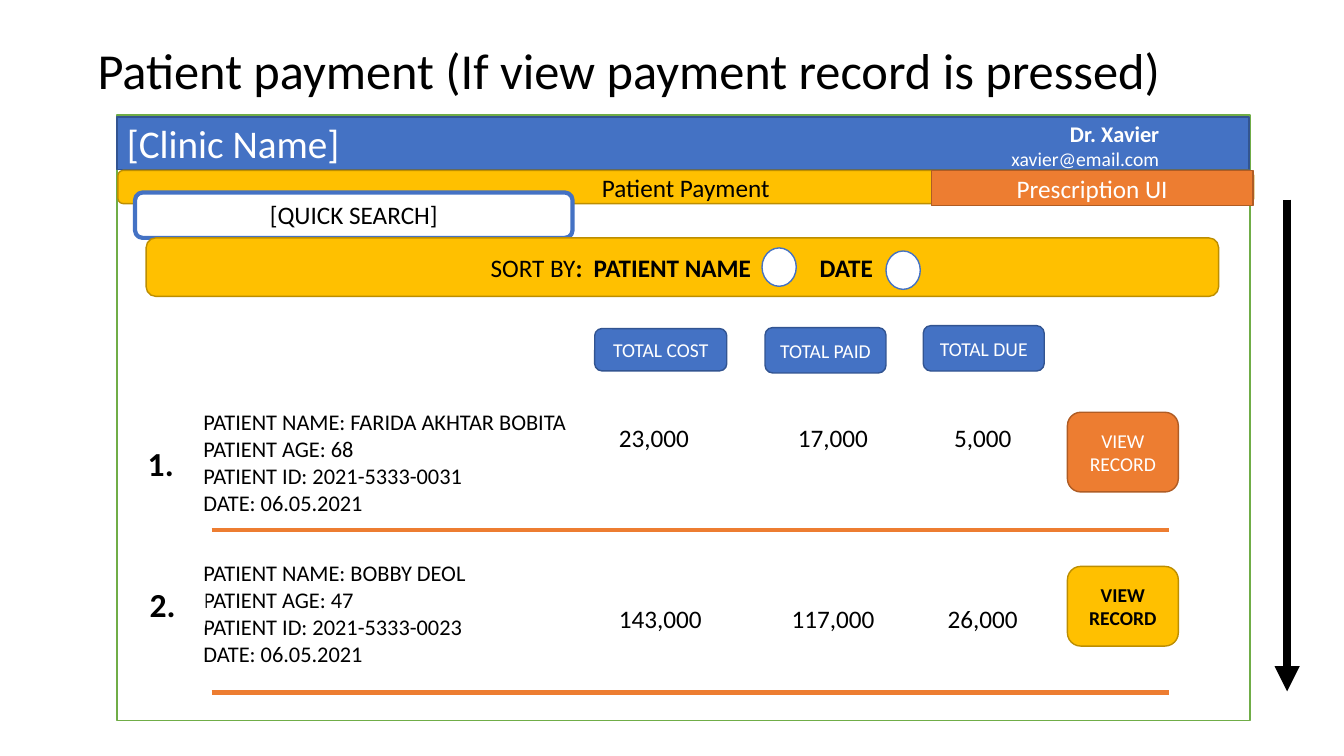
from dataclasses import dataclass
from typing import Optional

import lxml.etree
import pptx
import pptx.dml.color
import pptx.enum.shapes
import pptx.enum.text
import pptx.oxml.ns
import pptx.shapes.autoshape
import pptx.shapes.connector
import pptx.slide
import pptx.util

Pt = pptx.util.Pt
qn = pptx.oxml.ns.qn
Preset = pptx.enum.shapes.MSO_SHAPE
Align = pptx.enum.text.PP_ALIGN
Anchor = pptx.enum.text.MSO_ANCHOR


@dataclass(frozen=True)
class Theme:
    font: str = "Calibri"
    white: str = "FFFFFF"
    black: str = "000000"
    blue: str = "4472C4"
    blue_edge: str = "325491"
    gold: str = "FFC000"
    gold_edge: str = "BD8E00"
    orange: str = "ED7D31"
    orange_edge: str = "AF5C24"
    green: str = "70AD47"
    title: float = 36
    clinic: float = 28
    number: float = 24
    body: float = 18
    detail: float = 16
    small: float = 14


THEME = Theme()


@dataclass(frozen=True)
class Look:
    fill: Optional[str] = None
    edge: Optional[str] = None
    ink: str = THEME.black
    edge_width: float = 1


PLAIN = Look()
BLUE = Look(THEME.blue, THEME.blue_edge, THEME.white)
GOLD = Look(THEME.gold, THEME.gold_edge)
ORANGE = Look(THEME.orange, THEME.orange_edge, THEME.white)
WHITE = Look(THEME.white)
RADIO = Look(THEME.white, THEME.blue)
FRAME = Look(THEME.white, THEME.green)
SEARCH = Look(THEME.white, THEME.blue, edge_width=3)


@dataclass(frozen=True)
class Span:
    text: str
    size: float = THEME.body
    bold: bool = False


@dataclass(frozen=True)
class Box:
    left: float
    top: float
    width: float
    height: float
    look: Look = PLAIN
    paras: tuple[tuple[Span, ...], ...] = ()
    preset: Optional[Preset] = Preset.ROUNDED_RECTANGLE  # None makes a text box
    align: Align = Align.CENTER
    anchor: Anchor = Anchor.MIDDLE
    inset: float = 7.2
    tabs: tuple[tuple[float, str], ...] = ()
    spacing: float = 1.0


@dataclass(frozen=True)
class Record:
    number: str
    number_left: float
    number_top: float
    details_top: float
    button_top: float
    button_look: Look
    button_bold: bool
    amounts_top: float
    divider: float
    details: tuple[str, ...]
    amounts: tuple[str, ...]


def colour(code: str) -> pptx.dml.color.RGBColor:
    return pptx.dml.color.RGBColor.from_string(code)


def write_text(shape: pptx.shapes.autoshape.Shape, box: Box) -> None:
    frame = shape.text_frame
    frame.word_wrap = True
    frame.vertical_anchor = box.anchor
    frame.margin_left = Pt(box.inset)
    for index, spans in enumerate(box.paras):
        para = frame.add_paragraph() if index else frame.paragraphs[0]
        para.alignment = box.align
        para.line_spacing = box.spacing
        if box.tabs:
            tab_list = lxml.etree.SubElement(para._p.get_or_add_pPr(), qn("a:tabLst"))
            for position, kind in box.tabs:
                lxml.etree.SubElement(tab_list, qn("a:tab"), pos=str(Pt(position)), algn=kind)
        for span in spans:
            run = para.add_run()
            run.text = span.text
            run.font.name = THEME.font
            run.font.size = Pt(span.size)
            run.font.bold = span.bold
            run.font.color.rgb = colour(box.look.ink)


def draw_box(page: pptx.slide.Slide, box: Box) -> None:
    place = Pt(box.left), Pt(box.top), Pt(box.width), Pt(box.height)
    if box.preset is None:
        shape = page.shapes.add_textbox(*place)
    else:
        shape = page.shapes.add_shape(box.preset, *place)
        shape.shadow.inherit = False
        shape.fill.solid()
        shape.fill.fore_color.rgb = colour(box.look.fill or THEME.white)
        if box.look.edge:
            shape.line.color.rgb = colour(box.look.edge)
            shape.line.width = Pt(box.look.edge_width)
        else:
            shape.line.fill.background()
    if box.paras:
        write_text(shape, box)


def draw_line(page: pptx.slide.Slide, x1: float, y1: float, x2: float, y2: float,
              code: str, width: float) -> pptx.shapes.connector.Connector:
    line = page.shapes.add_connector(
        pptx.enum.shapes.MSO_CONNECTOR.STRAIGHT, Pt(x1), Pt(y1), Pt(x2), Pt(y2))
    line.line.color.rgb = colour(code)
    line.line.width = Pt(width)
    lxml.etree.SubElement(line._element.spPr, qn("a:effectLst"))
    return line


def draw_record(page: pptx.slide.Slide, record: Record) -> None:
    details = tuple((Span(text, THEME.detail),) for text in record.details)
    button = Span("VIEW RECORD", THEME.small, record.button_bold)
    amounts = Span("\t".join(record.amounts))
    for box in (
        Box(138.2, record.details_top, 334, 85, PLAIN, details, None, Align.LEFT, Anchor.TOP),
        Box(record.number_left, record.number_top, 49, 40.3, WHITE,
            ((Span(record.number, THEME.number, True),),), align=Align.LEFT, anchor=Anchor.TOP),
        Box(762.5, record.button_top, 79.2, 56.9, record.button_look, ((button,),)),
        Box(427, record.amounts_top, 332, 29, PLAIN, ((amounts,),), None, Align.LEFT,
            Anchor.TOP, inset=15, tabs=((153, "ctr"), (260, "ctr"))),
    ):
        draw_box(page, box)
    draw_line(page, 151.2, record.divider, 835.2, record.divider, THEME.orange, 3)


BOXES = (
    # Title and screen frame
    Box(62.6, 0, 897, 104.4, PLAIN,
        ((Span("Patient payment (If view payment record is pressed)", THEME.title),),),
        None, Align.LEFT, spacing=0.9),
    Box(83.5, 82.1, 809.3, 432.7, FRAME, preset=Preset.RECTANGLE),
    # Clinic header
    Box(83.5, 83.5, 808.6, 37.4, BLUE, ((Span("[Clinic Name]", THEME.clinic),),),
        Preset.RECTANGLE, Align.LEFT),
    Box(689, 82.1, 146.2, 43.9, Look(ink=THEME.white),
        ((Span("Dr. Xavier", THEME.detail, True),), (Span("xavier@email.com", THEME.small),)),
        None, Align.RIGHT, Anchor.TOP),
    # Navigation, search and sorting
    Box(84.2, 121.7, 811.4, 23.8, GOLD, ((Span("Patient Payment"),),)),
    Box(665.3, 121.7, 229.7, 25.2, ORANGE, ((Span("Prescription UI"),),), Preset.RECTANGLE),
    Box(96.5, 137.5, 312.5, 32.4, SEARCH, ((Span("[QUICK SEARCH]"),),), anchor=Anchor.TOP),
    Box(104.4, 169.9, 766.1, 41.8, GOLD,
        ((Span("SORT BY"), Span(":\tPATIENT NAME\tDATE", bold=True)),),
        align=Align.LEFT, inset=244, tabs=((73.6, "l"), (235, "l"))),
    Box(544.3, 177.1, 24.5, 27.4, RADIO, preset=Preset.OVAL),
    Box(632.9, 179.3, 24.5, 27.4, RADIO, preset=Preset.OVAL),
    # Column headings
    Box(424.8, 234.7, 94.3, 30.2, BLUE, ((Span("TOTAL COST", THEME.small),),)),
    Box(546.5, 234, 86.4, 32.4, BLUE, ((Span("TOTAL PAID", THEME.small),),)),
    Box(659.5, 232.6, 86.4, 32.4, BLUE, ((Span("TOTAL DUE", THEME.small),),)),
)

RECORDS = (
    Record("1.", 96.5, 311, 288, 294.5, ORANGE, False, 298.1, 378.7,
           ("PATIENT NAME: FARIDA AKHTAR BOBITA", "PATIENT AGE: 68",
            "PATIENT ID: 2021-5333-0031", "DATE: 06.05.2021"),
           ("23,000", "17,000", "5,000")),
    Record("2.", 97.9, 411.8, 396, 404.6, GOLD, True, 427.7, 494.6,
           ("PATIENT NAME: BOBBY DEOL", "PATIENT AGE: 47",
            "PATIENT ID: 2021-5333-0023", "DATE: 06.05.2021"),
           ("143,000", "117,000", "26,000")),
)


def main() -> None:
    deck = pptx.Presentation()
    deck.slide_width, deck.slide_height = Pt(960), Pt(540)
    page = deck.slides.add_slide(deck.slide_layouts[6])
    for box in BOXES:
        draw_box(page, box)
    for record in RECORDS:
        draw_record(page, record)
    # Scroll arrow
    arrow = draw_line(page, 919.4, 142.6, 919.4, 493.9, THEME.black, 6)
    lxml.etree.SubElement(arrow.line._get_or_add_ln(), qn("a:tailEnd"), type="triangle")
    deck.save("out.pptx")


if __name__ == "__main__":
    main()
